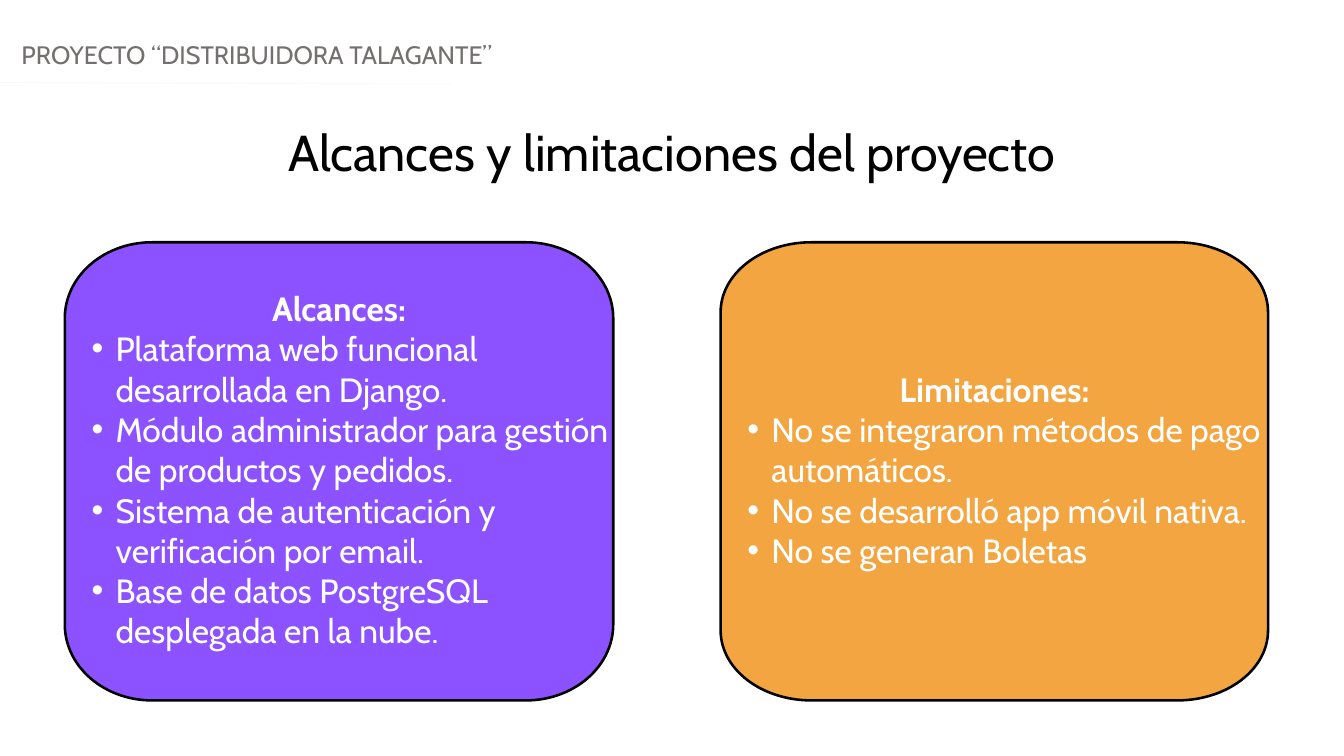
from math import cos, radians, sin
from typing import NamedTuple

from lxml.etree import SubElement
from pptx import Presentation
from pptx.dml.color import RGBColor
from pptx.enum.shapes import MSO_CONNECTOR
from pptx.enum.text import MSO_ANCHOR, MSO_AUTO_SIZE, PP_ALIGN
from pptx.oxml.ns import qn
from pptx.util import Cm, Pt

FONT = "Cabin"
PANEL_TOP, PANEL_HEIGHT = 9.16, 17.32
TEXT_TOP, TEXT_HEIGHT = 8.99, 17.5
TEXT_OVERHANG = 0.03
BULLET_INDENT, BULLET_HANG = 1.8, 0.91


class Panel(NamedTuple):
    left: float
    width: float
    radius_x: float
    radius_y: float
    color: str
    heading: str
    items: list[str]


PANELS = [
    Panel(2.45, 20.73, 3.3, 2.87, "8C52FF", "Alcances:", [
        "Plataforma web funcional desarrollada en Django.",
        "Módulo administrador para gestión de productos y pedidos.",
        "Sistema de autenticación y verificación por email.",
        "Base de datos PostgreSQL desplegada en la nube.",
    ]),
    Panel(27.24, 20.69, 3.43, 2.64, "F2A540", "Limitaciones:", [
        "No se integraron métodos de pago automáticos.",
        "No se desarrolló app móvil nativa.",
        "No se generan Boletas",
    ]),
]


def rgb(color: str) -> RGBColor:
    return RGBColor.from_string(color)


def place(shape, left: float, top: float, width: float, height: float,
          inset: float = 0, anchor=MSO_ANCHOR.TOP):
    """Position a text shape in centimetres and return its text frame."""
    shape.left, shape.top = Cm(left), Cm(top)
    shape.width, shape.height = Cm(width), Cm(height)
    frame = shape.text_frame
    frame.word_wrap = True
    frame.auto_size = MSO_AUTO_SIZE.NONE
    frame.vertical_anchor = anchor
    frame.margin_left = frame.margin_right = Cm(inset)
    frame.margin_top = frame.margin_bottom = Cm(inset)
    return frame


def write(paragraph, text: str, *, size: float, color: str, bold: bool = False,
          align=PP_ALIGN.LEFT, bullet: bool = False) -> None:
    paragraph.alignment = align
    paragraph.line_spacing = Pt(size * 1.2)
    paragraph.space_before = paragraph.space_after = Pt(0)
    properties = paragraph._p.get_or_add_pPr()
    properties.set("marL", str(Cm(BULLET_INDENT) if bullet else 0))
    properties.set("indent", str(-Cm(BULLET_HANG) if bullet else 0))
    if bullet:
        paragraph.level = 1
        SubElement(properties, qn("a:buChar")).set("char", "•")
    else:
        SubElement(properties, qn("a:buNone"))
    run = paragraph.add_run()
    run.text = text
    run.font.name = FONT
    run.font.size = Pt(size)
    run.font.bold = bold
    run.font.color.rgb = rgb(color)


def draw_panel_outline(slide, panel: Panel):
    """Draw a rectangle whose corners are quarter ellipses."""
    right, bottom = panel.left + panel.width, PANEL_TOP + PANEL_HEIGHT
    corners = [
        (right - panel.radius_x, bottom - panel.radius_y, 0),
        (panel.left + panel.radius_x, bottom - panel.radius_y, 90),
        (panel.left + panel.radius_x, PANEL_TOP + panel.radius_y, 180),
        (right - panel.radius_x, PANEL_TOP + panel.radius_y, 270),
    ]
    points = [
        (Cm(x + panel.radius_x * cos(radians(start + step))),
         Cm(y + panel.radius_y * sin(radians(start + step))))
        for x, y, start in corners
        for step in range(0, 91, 3)
    ]
    builder = slide.shapes.build_freeform(*points[0])
    builder.add_line_segments(points[1:], close=True)
    shape = builder.convert_to_shape()
    shape.shadow.inherit = False
    shape.fill.solid()
    shape.fill.fore_color.rgb = rgb(panel.color)
    shape.line.color.rgb = rgb("000000")
    shape.line.width = Pt(2.75)
    return shape


def draw_panel(slide, panel: Panel, body) -> None:
    outline = draw_panel_outline(slide, panel)
    outline.element.addnext(body.element)  # keeps the text in front of the fill
    frame = place(body, panel.left - TEXT_OVERHANG, TEXT_TOP,
                  panel.width + 2 * TEXT_OVERHANG, TEXT_HEIGHT,
                  inset=0.15, anchor=MSO_ANCHOR.MIDDLE)
    write(frame.paragraphs[0], panel.heading, size=36, color="FFFFFF",
          bold=True, align=PP_ALIGN.CENTER)
    for item in panel.items:
        write(frame.add_paragraph(), item, size=36, color="FFFFFF", bullet=True)


def draw_header(slide) -> None:
    rule = slide.shapes.add_connector(
        MSO_CONNECTOR.STRAIGHT, Cm(-0.03), Cm(3.12), Cm(17.07), Cm(3.18))
    rule.line.color.rgb = rgb("F5F7FC")
    rule.line.width = Pt(0.75)
    SubElement(rule.element.spPr, qn("a:effectLst"))
    box = slide.shapes.add_textbox(0, 0, 0, 0)
    frame = place(box, 0.81, 1.5, 50.29, 1.45)
    write(frame.paragraphs[0], "PROYECTO “DISTRIBUIDORA TALAGANTE”",
          size=27, color="757070")


def main() -> None:
    presentation = Presentation()
    presentation.slide_width, presentation.slide_height = Cm(50.8), Cm(28.58)
    two_content = presentation.slide_layouts[3]
    slide = presentation.slides.add_slide(two_content)
    title, *bodies = slide.placeholders

    draw_header(slide)
    title_frame = place(title, 0.25, 4.57, 50.29, 2.77)
    write(title_frame.paragraphs[0], "Alcances y limitaciones del proyecto",
          size=54, color="000000", align=PP_ALIGN.CENTER)
    for panel, body in zip(PANELS, bodies):
        draw_panel(slide, panel, body)

    presentation.save("out.pptx")


if __name__ == "__main__":
    main()
